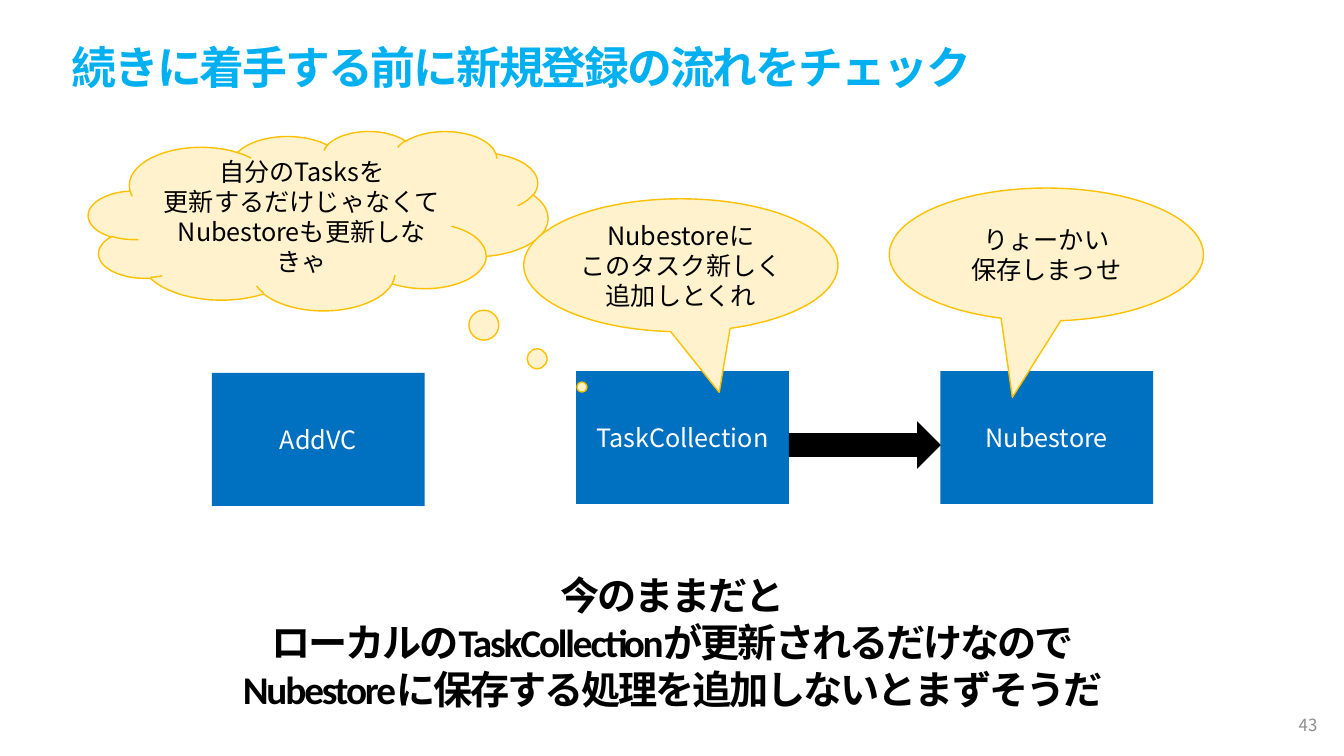
from dataclasses import dataclass
from typing import Optional

from pptx import Presentation
from pptx.dml.color import RGBColor
from pptx.enum.shapes import MSO_SHAPE as Shape
from pptx.enum.text import MSO_ANCHOR as Anchor, MSO_AUTO_SIZE as AutoSize, PP_ALIGN as Align
from pptx.oxml.ns import qn
from pptx.util import Cm, Pt

JP_FONT = "Noto Sans CJK JP"
HEAD_FONT = "Calibri"
BLACK, WHITE, GREY = "000000", "FFFFFF", "8C8C8C"
BLUE, SKY, CREAM, AMBER = "0070C0", "00B0F0", "FFF2CC", "FFC000"


@dataclass
class Block:
    kind: Shape
    left: float
    top: float
    width: float
    height: float
    text: str = ""
    fill: str = BLUE
    color: str = WHITE
    line: Optional[str] = None
    tail: tuple[float, ...] = ()


def rgb(value: str) -> RGBColor:
    return RGBColor.from_string(value)


def place(box, left: float, top: float, width: float, height: float) -> None:
    box.left, box.top, box.width, box.height = Cm(left), Cm(top), Cm(width), Cm(height)


def write(box, text: str, *, size: float = 18, color: str = BLACK, font: str = JP_FONT,
          bold: bool = False, align: Align = Align.CENTER, tracking: float = 0) -> None:
    frame = box.text_frame
    frame.word_wrap = True
    frame.auto_size = AutoSize.NONE
    frame.vertical_anchor = Anchor.MIDDLE
    for index, words in enumerate(text.split("\n")):
        para = frame.paragraphs[0] if index == 0 else frame.add_paragraph()
        para.alignment = align
        span = para.add_run()
        span.text = words
        span.font.size = Pt(size)
        span.font.bold = bold
        span.font.color.rgb = rgb(color)
        span.font.name = font
        props = span.font._element
        east_asian = props.makeelement(qn("a:ea"), {"typeface": JP_FONT})
        props.find(qn("a:latin")).addnext(east_asian)
        if tracking:
            props.set("spc", str(round(tracking * 100)))


def draw(page, block: Block) -> None:
    box = page.shapes.add_shape(block.kind, Cm(block.left), Cm(block.top),
                                Cm(block.width), Cm(block.height))
    box.shadow.inherit = False
    box.fill.solid()
    box.fill.fore_color.rgb = rgb(block.fill)
    if block.line:
        box.line.color.rgb = rgb(block.line)
        box.line.width = Pt(1)
    else:
        box.line.fill.background()
    for index, value in enumerate(block.tail):
        box.adjustments[index] = value
    if block.text:
        write(box, block.text, color=block.color)


def component(left: float, top: float, name: str) -> Block:
    return Block(Shape.RECTANGLE, left, top, 5.36, 3.35, name)


def bubble(kind: Shape, left: float, top: float, width: float, height: float,
           text: str, tail: tuple[float, ...]) -> Block:
    return Block(kind, left, top, width, height, text, CREAM, BLACK, AMBER, tail)


BLOCKS = [
    component(5.34, 9.4, "AddVC"),
    component(14.52, 9.35, "TaskCollection"),
    bubble(Shape.CLOUD_CALLOUT, 2.23, 3.3, 11.58, 4.52,
           "自分のTasksを\n更新するだけじゃなくて\nNubestoreも更新しなきゃ", (0.574, 0.928)),
    component(23.7, 9.35, "Nubestore"),
    bubble(Shape.OVAL_CALLOUT, 22.41, 4.74, 7.92, 3.35,
           "りょーかい\n保存しまっせ", (-0.108, 1.074)),
    bubble(Shape.OVAL_CALLOUT, 13.2, 5.01, 7.92, 3.35,
           "Nubestoreに\nこのタスク新しく\n追加しとくれ", (0.122, 0.956)),
    Block(Shape.RIGHT_ARROW, 19.88, 10.62, 3.83, 1.19, fill=BLACK),
]


def main() -> None:
    deck = Presentation()
    deck.slide_width, deck.slide_height = Cm(33.87), Cm(19.05)
    page = deck.slides.add_slide(deck.slide_layouts[5])

    # Title
    title = page.shapes.title
    place(title, 1.55, 0.86, 31.32, 1.63)
    write(title, "続きに着手する前に新規登録の流れをチェック", size=32, color=SKY,
          font=HEAD_FONT, bold=True, align=Align.LEFT, tracking=-1.5)

    # Components, their speech bubbles and the save arrow
    for block in BLOCKS:
        draw(page, block)

    # Conclusion
    conclusion = page.shapes.add_textbox(Cm(3.05), Cm(14.86), Cm(27.79), Cm(2.62))
    write(conclusion, "今のままだと\nローカルのTaskCollectionが更新されるだけなので\n"
          "Nubestoreに保存する処理を追加しないとまずそうだ",
          size=28, font=HEAD_FONT, bold=True, tracking=-1.5)

    # Page number
    number = page.shapes.add_textbox(Cm(25.83), Cm(17.75), Cm(7.62), Cm(1.02))
    write(number, "43", size=12, color=GREY, align=Align.RIGHT)

    deck.save("out.pptx")


if __name__ == "__main__":
    main()
